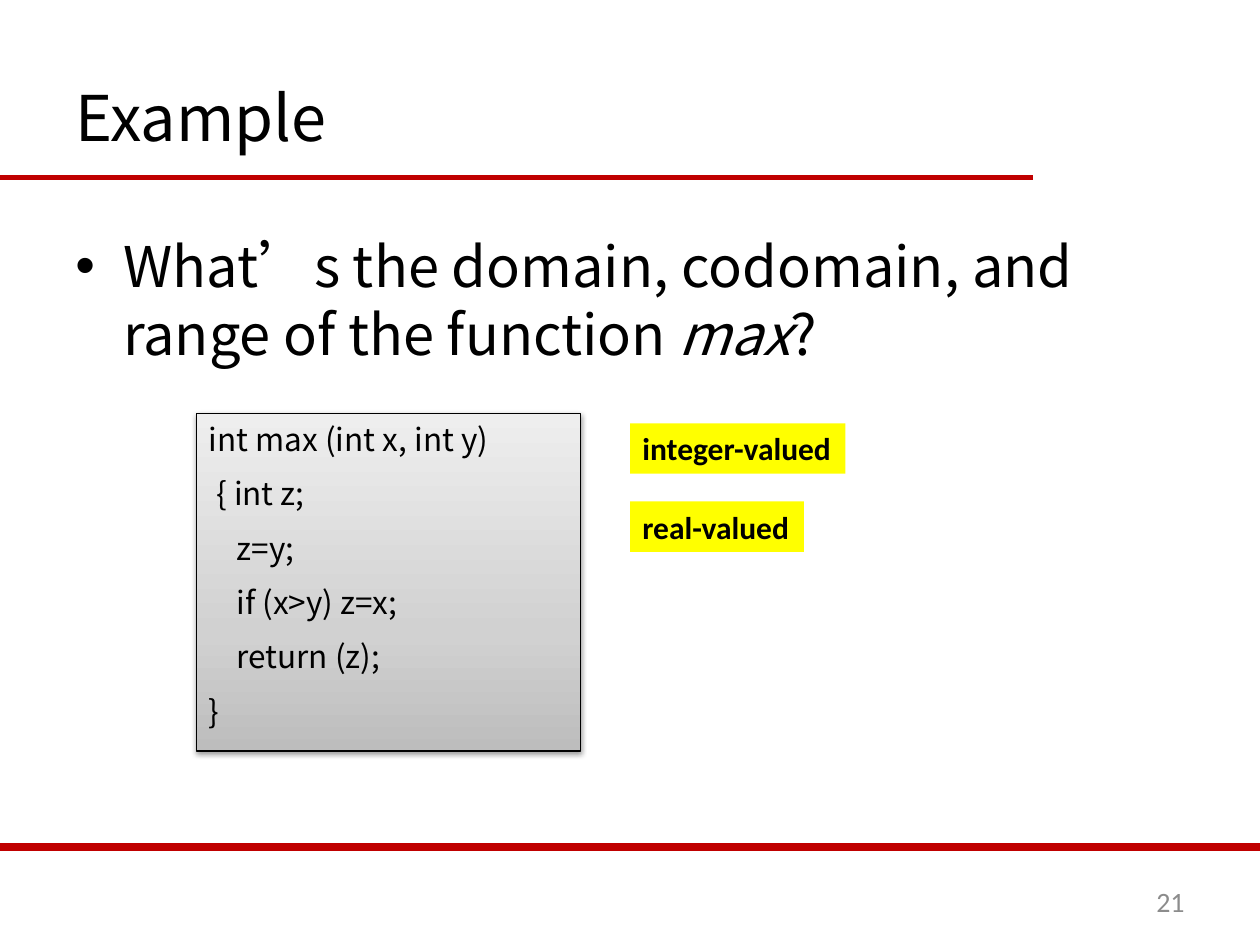
"""Build the Example slide about the domain, codomain and range of max."""
from copy import deepcopy

from lxml import etree
from pptx import Presentation
from pptx.dml.color import RGBColor
from pptx.enum.shapes import MSO_CONNECTOR as CONNECTOR, MSO_SHAPE as SHAPE
from pptx.enum.text import MSO_ANCHOR as ANCHOR, PP_ALIGN as ALIGN
from pptx.oxml.ns import qn
from pptx.util import Inches, Pt

MAIN_FONT = "Noto Sans CJK SC"


def color(value):
    return RGBColor.from_string(value)


def style(para, size, font=MAIN_FONT, shade="000000", bold=False):
    for span in para.runs:
        span.font.size = Pt(size)
        span.font.name = font
        span.font.bold = bold
        span.font.color.rgb = color(shade)
        east_asian = etree.SubElement(span.font._element, qn("a:ea"))
        east_asian.set("typeface", font)


deck = Presentation()
deck.slide_width, deck.slide_height = Inches(10), Inches(7.5)
page = deck.slides.add_slide(deck.slide_layouts[6])

for right, y, weight in [(8.2, 1.41, 3), (10, 6.72, 4.5)]:
    rule = page.shapes.add_connector(
        CONNECTOR.STRAIGHT, Inches(0), Inches(y), Inches(right), Inches(y))
    rule.line.color.rgb = color("C00000")
    rule.line.width = Pt(weight)
    etree.SubElement(rule._element.spPr, qn("a:effectLst"))

title = page.shapes.add_textbox(Inches(0.5), Inches(0.3), Inches(9), Inches(1.25))
title.text_frame.word_wrap = True
title.text_frame.vertical_anchor = ANCHOR.MIDDLE
title.text_frame.text = "Example"
style(title.text_frame.paragraphs[0], 36)

question = page.shapes.add_textbox(Inches(0.5), Inches(1.75), Inches(9), Inches(4.95))
question.text_frame.word_wrap = True
question.text_frame.margin_top = Inches(0.08)
para = question.text_frame.paragraphs[0]
for words in ["What’s the domain, codomain, and range of the function ", "max", "?"]:
    span = para.add_run()
    span.text = words
    span.font.italic = words == "max"
style(para, 32)
para.line_spacing = Pt(39)
properties = para._p.get_or_add_pPr()
properties.set("marL", str(Inches(0.38)))
properties.set("indent", str(Inches(-0.38)))
etree.SubElement(properties, qn("a:buFont")).set("typeface", "Arial")
etree.SubElement(properties, qn("a:buChar")).set("char", "•")

number = page.shapes.add_textbox(Inches(7.17), Inches(6.95), Inches(2.33), Inches(0.4))
number.text_frame.word_wrap = True
number.text_frame.vertical_anchor = ANCHOR.MIDDLE
number.text_frame.text = "21"
number.text_frame.paragraphs[0].alignment = ALIGN.RIGHT
style(number.text_frame.paragraphs[0], 16, "Calibri", "8C8C8C")

code = page.shapes.add_shape(
    SHAPE.RECTANGLE, Inches(1.56), Inches(3.28), Inches(3.05), Inches(2.68))
code.line.color.rgb = color("000000")
code.line.width = Pt(0.75)
code.fill.gradient()
code.fill.gradient_angle = 90
stop_list = code.fill.gradient_stops[0]._gs.getparent()
stop_list.append(deepcopy(stop_list[0]))
stops = [(0, "BDBDBD"), (0.35, "D1D1D1"), (1, "EEEEEE")]
for stop, (position, shade) in zip(code.fill.gradient_stops, stops):
    stop.position = position
    stop.color.rgb = color(shade)

code.shadow.inherit = False
effects = code._element.spPr.find(qn("a:effectLst"))
shadow = etree.SubElement(effects, qn("a:outerShdw"), blurRad=str(Pt(3.1)),
                          dist=str(Pt(1.6)), dir="5400000", rotWithShape="0")
shadow_color = etree.SubElement(shadow, qn("a:srgbClr"), val="000000")
etree.SubElement(shadow_color, qn("a:alpha"), val="38000")

code.text_frame.vertical_anchor = ANCHOR.TOP
code_lines = [("int max (int x, int y)", 0), ("{ int z;", 0.06), ("z=y;", 0.22),
              ("if (x>y) z=x;", 0.22), ("return (z);", 0.22), ("}", 0)]
code.text_frame.text = "\n".join(words for words, indent in code_lines)
for para, (words, indent) in zip(code.text_frame.paragraphs, code_lines):
    para.alignment = ALIGN.LEFT
    para.line_spacing = Pt(22)
    para.space_before = Pt(9)
    para._p.get_or_add_pPr().set("marL", str(Inches(indent)))
    style(para, 18)

for words, top, width in [("integer-valued", 3.36, 1.71), ("real-valued", 3.98, 1.38)]:
    label = page.shapes.add_shape(
        SHAPE.RECTANGLE, Inches(5), Inches(top), Inches(width), Inches(0.4))
    label.shadow.inherit = False
    label.fill.solid()
    label.fill.fore_color.rgb = color("FFFF00")
    label.line.fill.background()
    label.text_frame.word_wrap = False
    label.text_frame.vertical_anchor = ANCHOR.TOP
    label.text_frame.text = words
    label.text_frame.paragraphs[0].alignment = ALIGN.LEFT
    style(label.text_frame.paragraphs[0], 18, "Calibri", bold=True)

deck.save("out.pptx")
